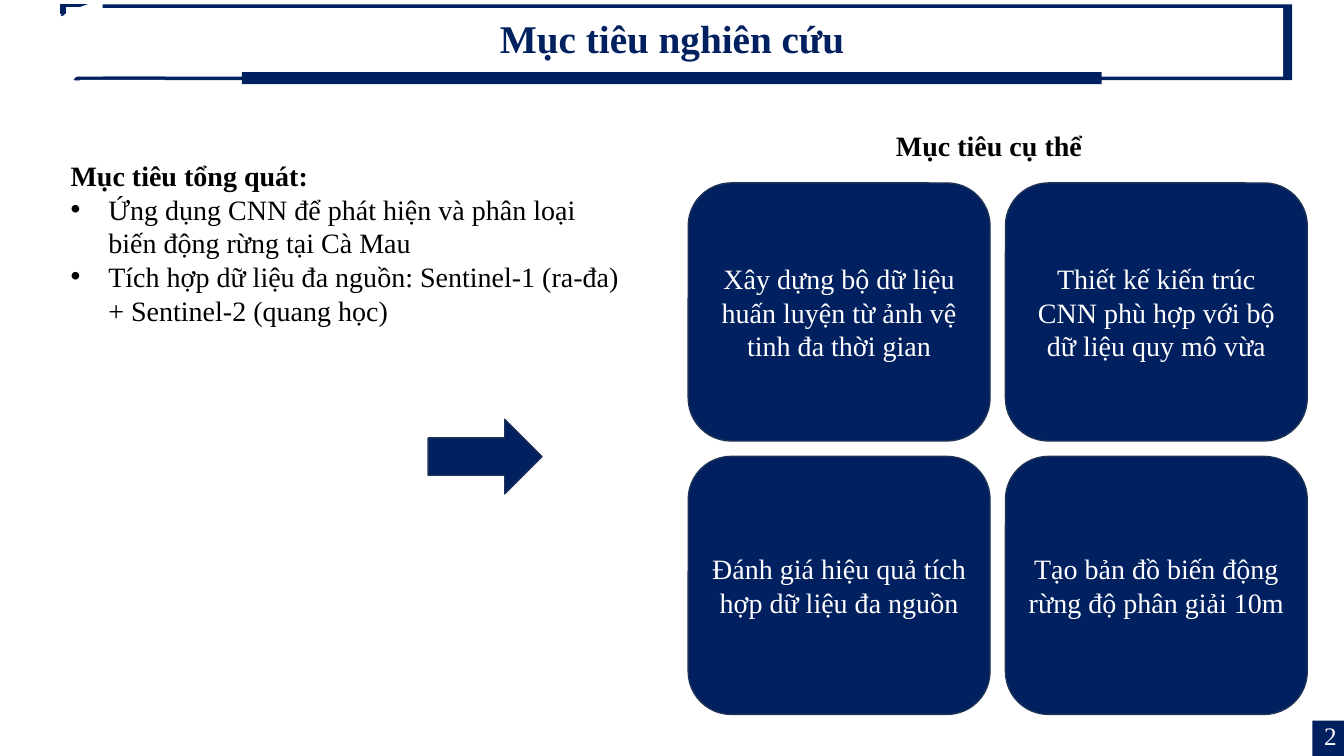
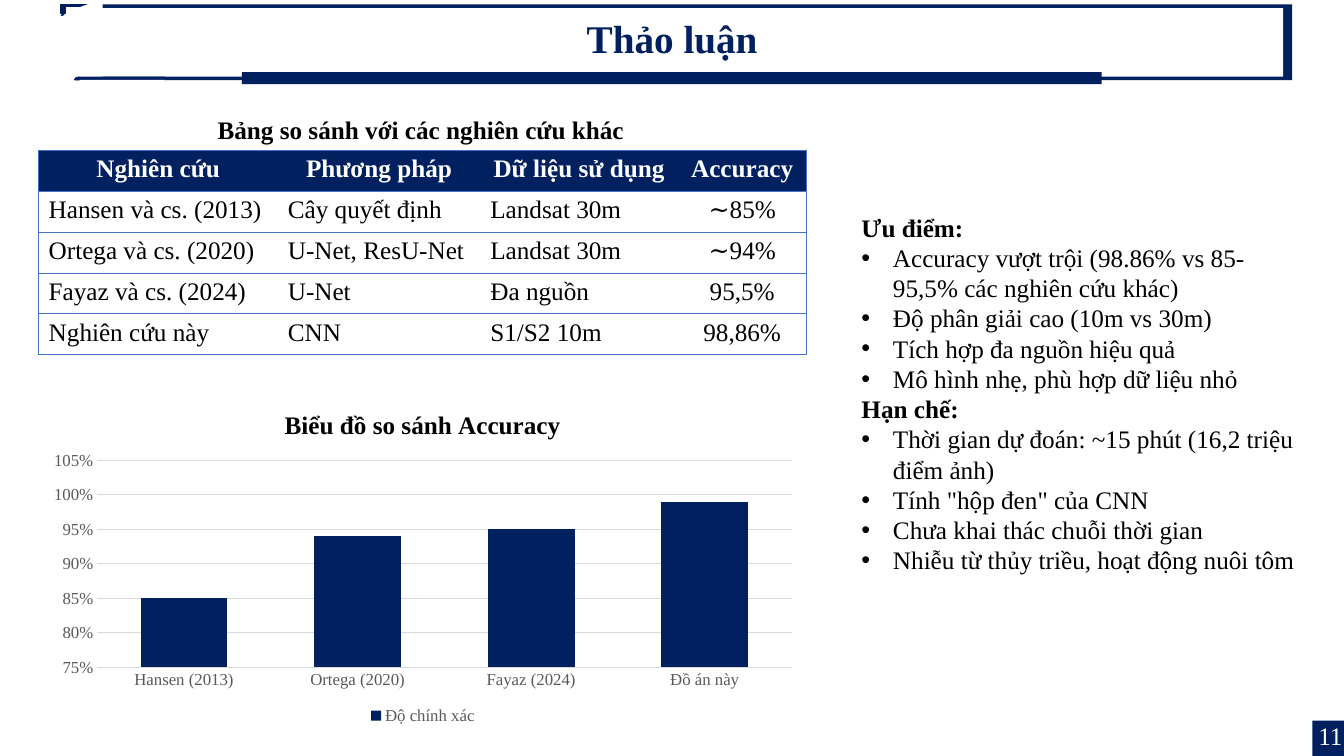
from dataclasses import dataclass

from lxml import etree
from pptx import Presentation
from pptx import util as u
from pptx.chart import data as cd
from pptx.dml.color import RGBColor
from pptx.enum import chart as ce, shapes as se, text as te
from pptx.oxml import ns
from pptx.util import Pt


# Theme: colours, face and type sizes
@dataclass(frozen=True)
class Theme:
    navy: str = "002060"
    edge: str = "1E3256"
    white: str = "FFFFFF"
    black: str = "000000"
    grid: str = "D9D9D9"
    gray: str = "595959"
    rule: str = "4472C4"
    face: str = "Times New Roman"
    head: float = 28
    large: float = 20
    body: float = 18
    small: float = 12


T = Theme()
MID, LEFT = te.PP_ALIGN.CENTER, te.PP_ALIGN.LEFT
KIND = se.MSO_SHAPE


@dataclass(frozen=True)
class Box:
    x: float
    y: float
    w: float
    h: float

    def pts(self) -> tuple[u.Length, ...]:
        return Pt(self.x), Pt(self.y), Pt(self.w), Pt(self.h)


@dataclass(frozen=True)
class Bar:
    box: Box
    fill: str


@dataclass(frozen=True)
class Patch:
    spots: tuple[tuple[float, float], ...]
    fill: str
    line: str | None = None
    turn: float = 0


@dataclass(frozen=True)
class Group:
    head: str
    items: tuple[str, ...]


# Basic drawing helpers
def style(font, size: float, color: str, bold: bool = False) -> None:
    font.name, font.size, font.bold = T.face, Pt(size), bold
    font.color.rgb = RGBColor.from_string(color)


def paint(shape, fill: str, line: str | None = None) -> None:
    shape.shadow.inherit = False
    shape.fill.solid()
    shape.fill.fore_color.rgb = RGBColor.from_string(fill)
    if line:
        shape.line.color.rgb = RGBColor.from_string(line)
        shape.line.width = Pt(1)
    else:
        shape.line.fill.background()


def block(slide, kind, box: Box, fill: str, line: str | None = None):
    shape = slide.shapes.add_shape(kind, *box.pts())
    paint(shape, fill, line)
    return shape


def write(para, text: str, size: float, color: str,
          bold: bool = False, align=LEFT) -> None:
    para.text = text
    para.alignment = align
    style(para.font, size, color, bold)


def label(slide, box: Box, text: str, size: float, color: str,
          bold: bool = False, align=LEFT, wrap: bool = True):
    frame = slide.shapes.add_textbox(*box.pts()).text_frame
    frame.word_wrap = wrap
    write(frame.paragraphs[0], text, size, color, bold, align)
    return frame


def bullet(para, indent: float) -> None:
    props = para._p.get_or_add_pPr()
    props.set("marL", str(Pt(indent)))
    props.set("indent", str(-Pt(indent)))
    etree.SubElement(props, ns.qn("a:buFont")).set("typeface", "Arial")
    etree.SubElement(props, ns.qn("a:buChar")).set("char", "•")


def listing(slide, box: Box, groups: tuple[Group, ...],
            size: float, indent: float) -> None:
    frame = slide.shapes.add_textbox(*box.pts()).text_frame
    frame.word_wrap = True
    lines = [(text, i == 0) for g in groups
             for i, text in enumerate((g.head, *g.items))]
    for i, (text, head) in enumerate(lines):
        para = frame.add_paragraph() if i else frame.paragraphs[0]
        if not head:
            bullet(para, indent)
        write(para, text, size, T.black, head)


# Shared frame: title band, corner details, page number
BASE = (
    Bar(Box(73.4, 3.2, 849.6, 54), T.navy),
    Bar(Box(42.5, 5.8, 874.1, 49), T.white),
    Bar(Box(172.8, 51.5, 614.2, 8.6), T.navy),
    Bar(Box(937.4, 514.8, 22.6, 25.2), T.navy),
    Bar(Box(55.4, 54.7, 62.6, 3.6), T.navy),
    Bar(Box(55.4, 57.1, 62.6, 3.6), T.white),
)
TRIM = (
    Patch(((54.7, 55.4), (56.9, 55.4), (56.9, 56.9), (53.3, 56.9)),
          T.navy, T.navy),
    Patch(((45.4, 1.4), (56.9, 1.4), (56.9, 5), (45.4, 5)), T.navy),
    Patch(((56.9, 0.9), (67, 0.9), (56.9, 4.5)), T.navy, T.navy),
    Patch(((33.8, 0.7), (79.9, 0.7), (79.9, 2.2), (33.8, 2.2)),
          T.white, T.white),
    Patch(((43.2, 3.6), (46.8, 3.6), (46.8, 9.4), (43.2, 9.4)),
          T.navy, T.navy),
    Patch(((43.9, 10.1), (46.1, 10.1), (45.4, 10.8)), T.navy, T.navy, 315),
)


def start(deck, title: str, page: str):
    slide = deck.slides.add_slide(deck.slide_layouts[6])
    for bar in BASE:
        block(slide, KIND.RECTANGLE, bar.box, bar.fill)
    for patch in TRIM:
        first, *rest = [(Pt(x), Pt(y)) for x, y in patch.spots]
        form = slide.shapes.build_freeform(*first)
        form.add_line_segments(rest, close=True)
        shape = form.convert_to_shape()
        paint(shape, patch.fill, patch.line)
        shape.rotation = patch.turn
    frame = label(slide, Box(43.4, 7.2, 873.4, 43.9), title,
                  T.head, T.navy, True, MID)
    frame.vertical_anchor = te.MSO_ANCHOR.MIDDLE
    frame.paragraphs[0].line_spacing = 0.9
    label(slide, Box(933.8, 511.2, 33.1, 28.8), page,
          T.body, T.white, align=MID)
    return slide


# Goals slide
GOAL = Group("Mục tiêu tổng quát:", (
    "Ứng dụng CNN để phát hiện và phân loại biến động rừng tại Cà Mau",
    "Tích hợp dữ liệu đa nguồn: Sentinel-1 (ra-đa) + Sentinel-2 (quang học)",
))
CARDS = (
    "Xây dựng bộ dữ liệu huấn luyện từ ảnh vệ tinh đa thời gian",
    "Thiết kế kiến trúc CNN phù hợp với bộ dữ liệu quy mô vừa",
    "Đánh giá hiệu quả tích hợp dữ liệu đa nguồn",
    "Tạo bản đồ biến động rừng độ phân giải 10m",
)


def goals(deck) -> None:
    slide = start(deck, "Mục tiêu nghiên cứu", "2")
    label(slide, Box(632.9, 88.2, 148.3, 31.7), "Mục tiêu cụ thể",
          T.large, T.black, True, wrap=False)
    listing(slide, Box(43.3, 109.7, 410.4, 128.2), (GOAL,), T.large, 27)
    wide, high, gap = 215.6, 184.3, 11
    for i, text in enumerate(CARDS):
        row, col = divmod(i, 2)
        box = Box(491.6 + col * (wide + gap), 130.7 + row * (high + gap),
                  wide, high)
        card = block(slide, KIND.ROUNDED_RECTANGLE, box, T.navy, T.edge)
        card.text_frame.vertical_anchor = te.MSO_ANCHOR.MIDDLE
        write(card.text_frame.paragraphs[0], text, T.large, T.white,
              align=MID)
    block(slide, KIND.RIGHT_ARROW, Box(305.8, 299.5, 81.4, 53.3),
          T.navy, T.edge)


# Discussion slide
ROWS = (
    ("Nghiên cứu", "Phương pháp", "Dữ liệu sử dụng", "Accuracy"),
    ("Hansen và cs. (2013)", "Cây quyết định", "Landsat 30m", "∼85%"),
    ("Ortega và cs. (2020)", "U-Net, ResU-Net", "Landsat 30m", "∼94%"),
    ("Fayaz và cs. (2024)", "U-Net", "Đa nguồn", "95,5%"),
    ("Nghiên cứu này", "CNN", "S1/S2 10m", "98,86%"),
)
COLS = (170.8, 144.7, 141.1, 92)
SCORES = {"Hansen (2013)": 0.85, "Ortega (2020)": 0.94,
          "Fayaz (2024)": 0.95, "Đồ án này": 0.99}
NOTES = (
    Group("Ưu điểm:", (
        "Accuracy vượt trội (98.86% vs 85-95,5% các nghiên cứu khác)",
        "Độ phân giải cao (10m vs 30m)",
        "Tích hợp đa nguồn hiệu quả",
        "Mô hình nhẹ, phù hợp dữ liệu nhỏ",
    )),
    Group("Hạn chế:", (
        "Thời gian dự đoán: ~15 phút (16,2 triệu điểm ảnh)",
        "Tính \"hộp đen\" của CNN",
        "Chưa khai thác chuỗi thời gian",
        "Nhiễu từ thủy triều, hoạt động nuôi tôm",
    )),
)


def border(cell, sides: str) -> None:
    props = cell._tc.get_or_add_tcPr()
    for i, side in enumerate("LRTB"):
        line = etree.Element(ns.qn(f"a:ln{side}"), w=str(Pt(0.5)))
        if side in sides:
            fill = etree.SubElement(line, ns.qn("a:solidFill"))
            etree.SubElement(fill, ns.qn("a:srgbClr")).set("val", T.rule)
        else:
            etree.SubElement(line, ns.qn("a:noFill"))
        props.insert(i, line)


def grid(slide, box: Box) -> None:
    last = len(COLS) - 1
    table = slide.shapes.add_table(len(ROWS), len(COLS), *box.pts()).table
    for col, wide in zip(table.columns, COLS):
        col.width = Pt(wide)
    for r, row in enumerate(ROWS):
        table.rows[r].height = Pt(box.h / len(ROWS))
        for c, text in enumerate(row):
            cell = table.cell(r, c)
            head = r == 0
            if head:
                cell.fill.solid()
                cell.fill.fore_color.rgb = RGBColor.from_string(T.navy)
            else:
                cell.fill.background()
            border(cell, "TB" + "L" * (c == 0) + "R" * (c == last))
            write(cell.text_frame.paragraphs[0], text, T.body,
                  T.white if head else T.black, head,
                  MID if head or c == last else LEFT)


def place(owner, **spots: float) -> None:
    """Give a chart part a fixed place, as shares of the chart."""
    layout = owner.get_or_add_layout() if hasattr(
        owner, "get_or_add_layout") else owner.find(ns.qn("c:layout"))
    if layout is None:
        layout = etree.Element(ns.qn("c:layout"))
        owner.insert(0, layout)
    manual = etree.SubElement(layout, ns.qn("c:manualLayout"))
    if "w" in spots:
        etree.SubElement(manual, ns.qn("c:layoutTarget")).set("val", "inner")
    for key in ("x", "y"):
        etree.SubElement(manual, ns.qn(f"c:{key}Mode")).set("val", "edge")
    for key, val in spots.items():
        etree.SubElement(manual, ns.qn(f"c:{key}")).set("val", str(val))


def graph(slide, box: Box) -> None:
    data = cd.CategoryChartData(number_format="0%")
    data.categories = list(SCORES)
    data.add_series("Độ chính xác", list(SCORES.values()))
    chart = slide.shapes.add_chart(
        ce.XL_CHART_TYPE.COLUMN_CLUSTERED, *box.pts(), data).chart
    style(chart.font, T.small, T.gray)
    chart.has_title = True
    write(chart.chart_title.text_frame.paragraphs[0],
          "Biểu đồ so sánh Accuracy", T.body, T.black, True, MID)
    place(chart.chart_title._element, x=0.314, y=0.03)
    place(chart._chartSpace.chart.plotArea, x=0.076, y=0.196, w=0.904, h=0.62)
    chart.has_legend = True
    chart.legend.position = ce.XL_LEGEND_POSITION.BOTTOM
    chart.legend.include_in_layout = False
    plot = chart.plots[0]
    plot.gap_width, plot.overlap, plot.vary_by_categories = 100, -24, False
    fill = plot.series[0].format.fill
    fill.solid()
    fill.fore_color.rgb = RGBColor.from_string(T.navy)
    cat, val = chart.category_axis, chart.value_axis
    val.minimum_scale, val.maximum_scale, val.major_unit = 0.75, 1.05, 0.05
    val.tick_labels.number_format = "0%"
    val.tick_labels.number_format_is_linked = False
    val.format.line.fill.background()
    for axis in (cat, val):
        axis.major_tick_mark = ce.XL_TICK_MARK.NONE
        style(axis.tick_labels.font, T.small, T.gray)
    for line, wide in ((cat.format.line, 1),
                       (val.major_gridlines.format.line, 0.75)):
        line.color.rgb = RGBColor.from_string(T.grid)
        line.width = Pt(wide)


def talk(deck) -> None:
    slide = start(deck, "Thảo luận", "11")
    grid(slide, Box(27.6, 107.3, sum(COLS), 146))
    graph(slide, Box(27.8, 282.2, sum(COLS), 238.3))
    label(slide, Box(148.3, 78.1, 307.4, 28.8),
          "Bảng so sánh với các nghiên cứu khác",
          T.body, T.black, True, wrap=False)
    listing(slide, Box(608.3, 147.9, 324, 269.3), NOTES, T.body, 22.5)


def main() -> None:
    deck = Presentation()
    deck.slide_width, deck.slide_height = Pt(960), Pt(540)
    goals(deck)
    talk(deck)
    deck.save("out.pptx")


if __name__ == "__main__":
    main()
